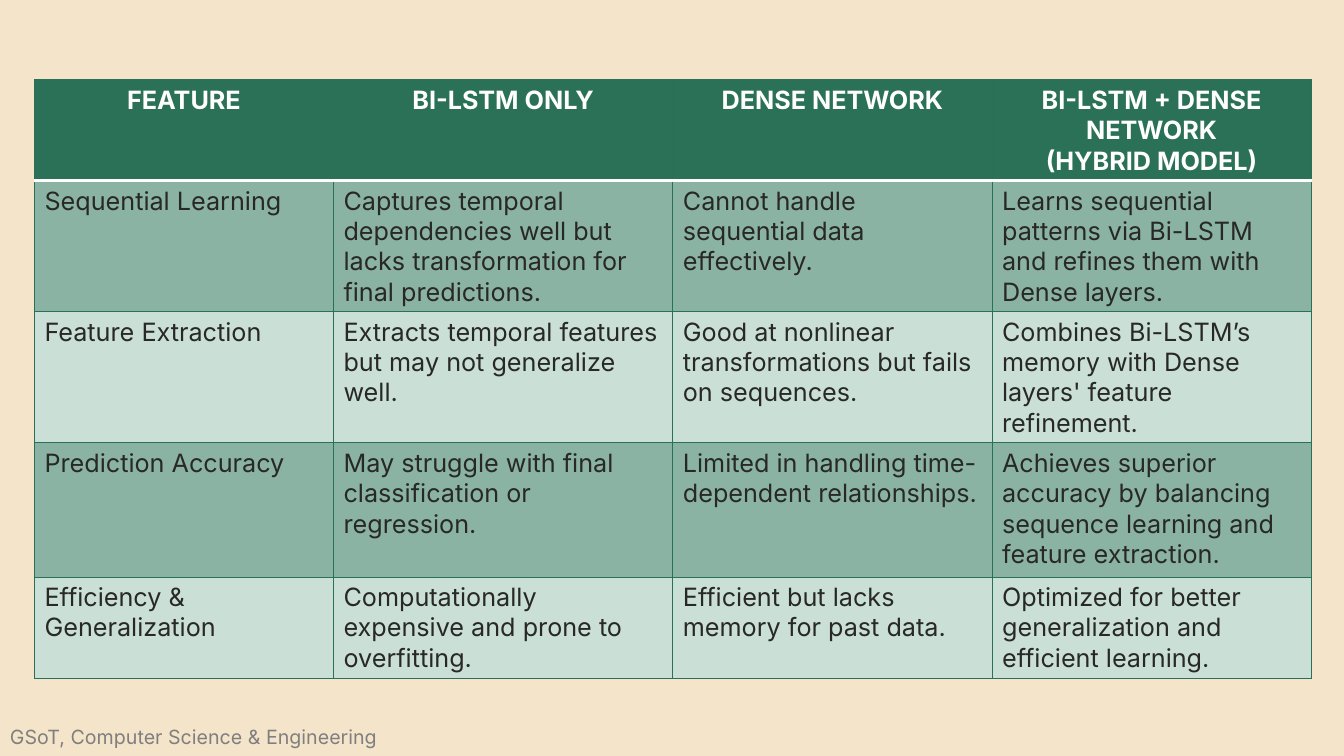
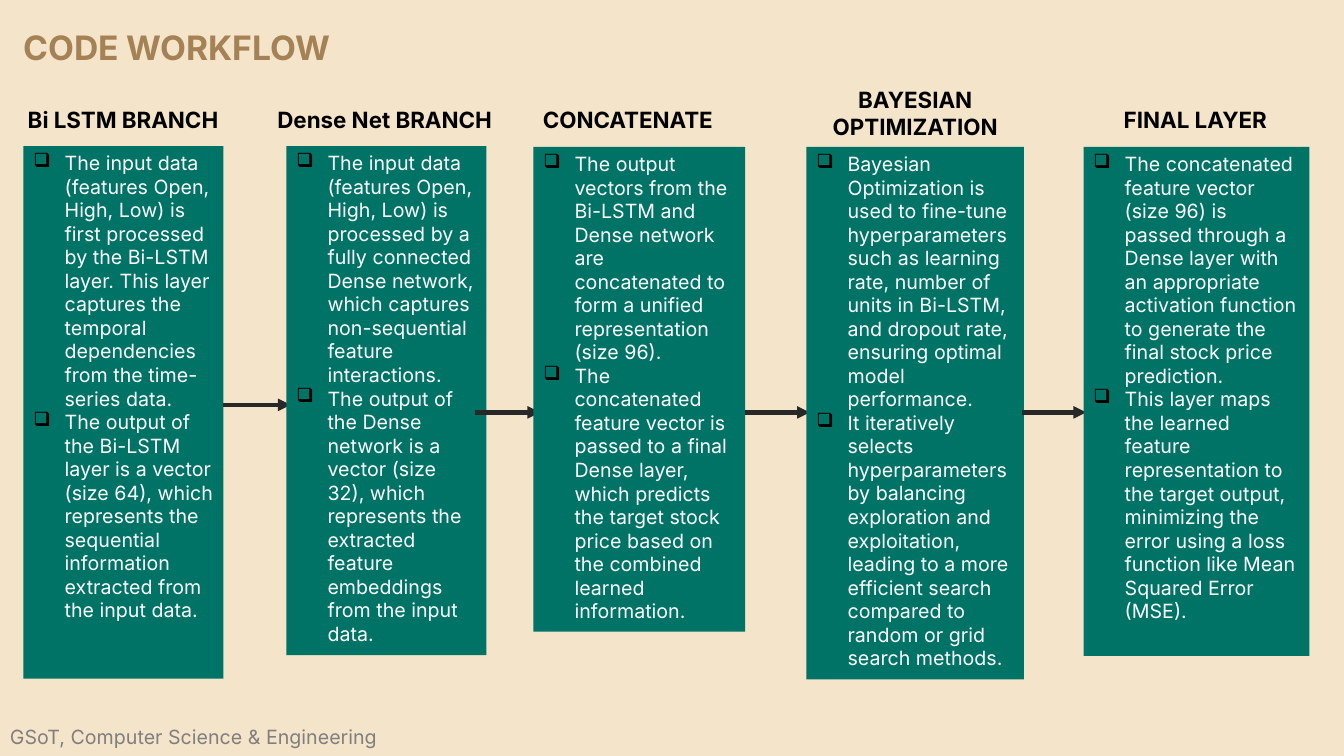
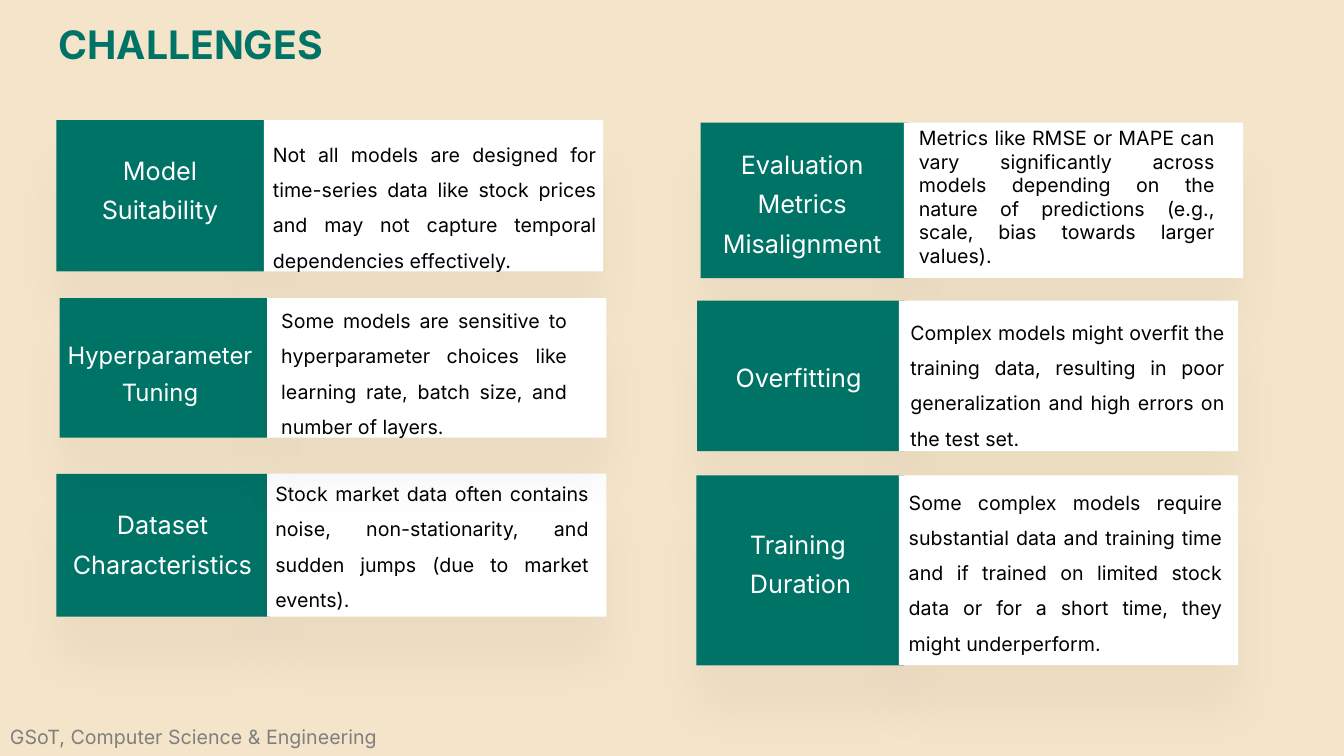
from dataclasses import dataclass
from typing import NamedTuple

from lxml import etree
from pptx import Presentation
from pptx import util as u
from pptx.dml import color
from pptx.enum import shapes, text
from pptx.oxml import ns

COLUMNS, ROWS = 160, 90
SLIDE_WIDTH, SLIDE_HEIGHT = u.Inches(13.33), u.Inches(7.5)
FONT = "Inter"
COLOURS = {
    "sand": "F4E4C9",
    "teal": "007367",
    "bronze": "A58255",
    "header": "2B7158",
    "band": "8AB3A3",
    "plain": "CADFD6",
    "border": "287057",
    "ink": "282828",
    "grey": "7F7F7F",
    "black": "000000",
    "white": "FFFFFF",
}
LEFT, CENTER, JUSTIFY = text.PP_ALIGN.LEFT, text.PP_ALIGN.CENTER, text.PP_ALIGN.JUSTIFY


class Box(NamedTuple):
    column: float
    row: float
    columns: float
    rows: float


@dataclass
class Stage:
    heading: str
    heading_box: Box
    box: Box
    points: list[str]
    arrow: Box | None = None


@dataclass
class Challenge:
    label: str
    label_box: Box
    label_text: Box
    body: str
    body_column: float
    body_text: Box
    label_size: float = 18
    label_align: text.PP_ALIGN = CENTER
    body_spacing: float = 1.5


FOOTER_BOX = Box(0, 85.7, 62.9, 4.1)
BODY_COLUMNS = 40.4

COMPARISON_BOX = Box(4.1, 9.5, 152, 68.3)
COMPARISON_COLUMNS = [35.6, 40.4, 38, 38]
COMPARISON_ROWS = [11.3, 14.8, 14.8, 16, 11.4]
COMPARISON = [
    ["FEATURE", "BI-LSTM ONLY", "DENSE NETWORK",
     "BI-LSTM + DENSE NETWORK\n(HYBRID MODEL)"],
    ["Sequential Learning",
     "Captures temporal dependencies well but lacks transformation for final predictions.",
     "Cannot handle sequential data effectively.",
     "Learns sequential patterns via Bi-LSTM and refines them with Dense layers."],
    ["Feature Extraction",
     "Extracts temporal features but may not generalize well.",
     "Good at nonlinear transformations but fails on sequences.",
     "Combines Bi-LSTM’s memory with Dense layers' feature refinement."],
    ["Prediction Accuracy",
     "May struggle with final classification or regression.",
     "Limited in handling time-dependent relationships.",
     "Achieves superior accuracy by balancing sequence learning and feature extraction."],
    ["Efficiency & Generalization",
     "Computationally expensive and prone to overfitting.",
     "Efficient but lacks memory for past data.",
     "Optimized for better generalization and efficient learning."],
]

STAGES = [
    Stage("Bi LSTM BRANCH", Box(-0.7, 12.1, 30.7, 4.4), Box(2.8, 17.4, 23.8, 63.4), [
        "The input data (features Open, High, Low) is first processed by the Bi-LSTM layer. "
        "This layer captures the temporal dependencies from the time-series data.",
        "The output of the Bi-LSTM layer is a vector (size 64), which represents the "
        "sequential information extracted from the input data.",
    ], Box(26.6, 48.2, 8, 0)),
    Stage("Dense Net BRANCH", Box(28.7, 12.1, 34.2, 4.4), Box(34.1, 17.4, 23.8, 60.6), [
        "The input data (features Open, High, Low) is processed by a fully connected Dense "
        "network, which captures non-sequential feature interactions.",
        "The output of the Dense network is a vector (size 32), which represents the "
        "extracted feature embeddings from the input data.",
    ], Box(56.6, 49.1, 7.7, 0)),
    Stage("CONCATENATE", Box(59.4, 12.1, 30.7, 4.4), Box(63.5, 17.5, 25.2, 57.7), [
        "The output vectors from the Bi-LSTM and Dense network are concatenated to form a "
        "unified representation (size 96).",
        "The concatenated feature vector is passed to a final Dense layer, which predicts "
        "the target stock price based on the combined learned information.",
    ], Box(88.7, 49.1, 7.7, 0)),
    Stage("BAYESIAN OPTIMIZATION", Box(93.6, 9.7, 30.7, 7.7), Box(96, 17.5, 25.9, 63.4), [
        "Bayesian Optimization is used to fine-tune hyperparameters such as learning rate, "
        "number of units in Bi-LSTM, and dropout rate, ensuring optimal model performance.",
        "It iteratively selects hyperparameters by balancing exploration and exploitation, "
        "leading to a more efficient search compared to random or grid search methods.",
    ], Box(121.7, 49.1, 7.6, 0)),
    Stage("FINAL LAYER", Box(125.2, 12.1, 34.2, 4.4), Box(129, 17.5, 26.9, 60.6), [
        "The concatenated feature vector (size 96) is passed through a Dense layer with an "
        "appropriate activation function to generate the final stock price prediction.",
        "This layer maps the learned feature representation to the target output, minimizing "
        "the error using a loss function like Mean Squared Error (MSE).",
    ]),
]

CHALLENGES = [
    Challenge(
        "Model Suitability", Box(6.7, 14.3, 24.7, 18), Box(10.6, 16.8, 16.9, 4.6),
        "Not all models are designed for time-series data like stock prices and may not "
        "capture temporal dependencies effectively.",
        31.4, Box(31.3, 15, 40.9, 8.2)),
    Challenge(
        "Evaluation Metrics Misalignment", Box(83.4, 14.6, 24.7, 18.5),
        Box(84.4, 16.1, 22.2, 5.6),
        "Metrics like RMSE or MAPE can vary significantly across models depending on the "
        "nature of predictions (e.g., scale, bias towards larger values).",
        107.6, Box(108.2, 14.4, 37.6, 8.2), body_spacing=1),
    Challenge(
        "Dataset Characteristics", Box(6.7, 56.4, 25.4, 17), Box(7, 59, 24.7, 5.3),
        "Stock market data often contains noise, non-stationarity, and sudden jumps "
        "(due to market events).",
        31.8, Box(31.6, 55.4, 39.7, 10.2)),
    Challenge(
        "Hyperparameter Tuning", Box(7.1, 35.5, 24.7, 16.6), Box(6.7, 38.9, 24.7, 4.6),
        "Some models are sensitive to hyperparameter choices like learning rate, batch size, "
        "and number of layers.",
        31.8, Box(32.3, 34.8, 36.4, 8.2), label_size=17),
    Challenge(
        "Overfitting", Box(83, 35.8, 24.7, 17.9), Box(86.4, 41.5, 18.5, 3.7),
        "Complex models might overfit the training data, resulting in poor generalization "
        "and high errors on the test set.",
        107, Box(107.2, 36.2, 39.8, 10.1), label_align=LEFT),
    Challenge(
        "Training Duration", Box(82.9, 56.6, 24.7, 22.6), Box(88.1, 61.3, 18.2, 5.2),
        "Some complex models require substantial data and training time and if trained on "
        "limited stock data or for a short time, they might underperform.",
        107, Box(107, 56.4, 39.7, 8.2), label_align=LEFT),
]


def across(columns: float) -> int:
    return round(SLIDE_WIDTH * columns / COLUMNS)


def down(rows: float) -> int:
    return round(SLIDE_HEIGHT * rows / ROWS)


def place(box: Box) -> tuple[int, int, int, int]:
    return across(box.column), down(box.row), across(box.columns), down(box.rows)


def rgb(name: str) -> color.RGBColor:
    return color.RGBColor.from_string(COLOURS[name])


def add_xml(parent, tag: str, **attributes):
    return etree.SubElement(parent, ns.qn(tag), attributes)


def add_bullet(paragraph) -> None:
    properties = paragraph._p.get_or_add_pPr()
    indent = u.Inches(0.31)
    properties.set("marL", str(indent))
    properties.set("indent", str(-indent))
    add_xml(add_xml(properties, "a:buClr"), "a:srgbClr", val=COLOURS["black"])
    add_xml(properties, "a:buChar", char="❑")


def write(frame, content: str, *, size: float, colour: str, bold: bool = False,
          align: text.PP_ALIGN = LEFT, spacing: float = 1, bullets: bool = False) -> None:
    frame.word_wrap = True
    frame.vertical_anchor = text.MSO_ANCHOR.TOP
    for index, line in enumerate(content.split("\n")):
        paragraph = frame.add_paragraph() if index else frame.paragraphs[0]
        paragraph.alignment = align
        paragraph.line_spacing = spacing
        if bullets:
            add_bullet(paragraph)
        run = paragraph.add_run()
        run.text = line
        run.font.name = FONT
        run.font.size = u.Pt(size)
        run.font.bold = bold
        run.font.color.rgb = rgb(colour)


def add_text(slide, box: Box, content: str, **style) -> None:
    write(slide.shapes.add_textbox(*place(box)).text_frame, content, **style)


def add_block(slide, preset, position: tuple[int, int, int, int], fill: str):
    block = slide.shapes.add_shape(preset, *position)
    block.fill.solid()
    block.fill.fore_color.rgb = rgb(fill)
    block.line.fill.background()
    block.shadow.inherit = False
    return block


def add_soft_shadow(block) -> None:
    for index in range(len(block.adjustments)):
        block.adjustments[index] = 0
    effects = block._element.spPr.find(ns.qn("a:effectLst"))
    reach = str(u.Pt(33))
    shadow = add_xml(effects, "a:outerShdw", blurRad=reach, dist=reach,
                     dir="5400000", algn="t", rotWithShape="0")
    tone = add_xml(shadow, "a:srgbClr", val=COLOURS["black"])
    add_xml(tone, "a:alpha", val="4000")


def add_arrow(slide, box: Box) -> None:
    left, top, width, height = place(box)
    arrow = slide.shapes.add_connector(
        shapes.MSO_CONNECTOR.STRAIGHT, left, top, left + width, top + height)
    arrow.line.color.rgb = rgb("ink")
    arrow.line.width = u.Pt(3)
    add_xml(arrow.line._get_or_add_ln(), "a:tailEnd", type="triangle")
    add_xml(arrow._element.spPr, "a:effectLst")


def add_border(cell, side: str, colour: str, width: float) -> None:
    line = add_xml(cell._tc.get_or_add_tcPr(), f"a:ln{side}", w=str(u.Pt(width)))
    add_xml(add_xml(line, "a:solidFill"), "a:srgbClr", val=COLOURS[colour])


def new_slide(deck):
    slide = deck.slides.add_slide(deck.slide_layouts[6])
    slide.background.fill.solid()
    slide.background.fill.fore_color.rgb = rgb("sand")
    add_text(slide, FOOTER_BOX, "GSoT, Computer Science & Engineering",
             size=14, colour="grey")
    return slide


def add_title(slide, box: Box, title: str, *, size: float, colour: str) -> None:
    add_text(slide, box, title, size=size, colour=colour, bold=True)


def fill_cell(cell, content: str, row: int) -> None:
    is_header = row == 0
    under_header = {"T": row == 1, "B": is_header}
    for side in "LRTB":
        divider = under_header.get(side, False)
        add_border(cell, side, "white" if divider else "border", 2 if divider else 0.75)
    cell.fill.solid()
    cell.fill.fore_color.rgb = rgb("header" if is_header else "band" if row % 2 else "plain")
    write(cell.text_frame, content, size=18, bold=is_header,
          colour="white" if is_header else "ink", align=CENTER if is_header else LEFT)


def build_comparison(deck) -> None:
    slide = new_slide(deck)
    table = slide.shapes.add_table(
        len(COMPARISON_ROWS), len(COMPARISON_COLUMNS), *place(COMPARISON_BOX)).table
    for column, width in zip(table.columns, COMPARISON_COLUMNS):
        column.width = across(width)
    for row, height in zip(table.rows, COMPARISON_ROWS):
        row.height = down(height)
    for row, entries in enumerate(COMPARISON):
        for column, entry in enumerate(entries):
            fill_cell(table.cell(row, column), entry, row)


def add_stage(slide, stage: Stage) -> None:
    panel = add_block(slide, shapes.MSO_SHAPE.RECTANGLE, place(stage.box), "teal")
    write(panel.text_frame, "\n".join(stage.points), size=14, colour="white", bullets=True)
    add_text(slide, stage.heading_box, stage.heading,
             size=16, colour="black", bold=True, align=CENTER)
    if stage.arrow:
        add_arrow(slide, stage.arrow)


def build_workflow(deck) -> None:
    slide = new_slide(deck)
    add_title(slide, Box(1.6, 2.6, 130.4, 6), "CODE WORKFLOW", size=24, colour="bronze")
    for stage in STAGES:
        add_stage(slide, stage)


def add_challenge(slide, challenge: Challenge) -> None:
    left, top, width, height = place(challenge.label_box)
    turn = (width - height) // 2
    label = add_block(slide, shapes.MSO_SHAPE.ROUND_2_SAME_RECTANGLE,
                      (left + turn, top - turn, height, width), "teal")
    label.rotation = 270
    body_box = challenge.label_box._replace(
        column=challenge.body_column, columns=BODY_COLUMNS)
    body = add_block(slide, shapes.MSO_SHAPE.ROUNDED_RECTANGLE, place(body_box), "white")
    for block in (label, body):
        add_soft_shadow(block)
    add_text(slide, challenge.label_text, challenge.label, size=challenge.label_size,
             colour="white", align=challenge.label_align, spacing=1.3)
    add_text(slide, challenge.body_text, challenge.body, size=14, colour="black",
             align=JUSTIFY, spacing=challenge.body_spacing)


def build_challenges(deck) -> None:
    slide = new_slide(deck)
    add_title(slide, Box(5.8, 1.8, 109.3, 8.5), "CHALLENGES", size=28, colour="teal")
    for challenge in CHALLENGES:
        add_challenge(slide, challenge)


def main() -> None:
    deck = Presentation()
    deck.slide_width, deck.slide_height = SLIDE_WIDTH, SLIDE_HEIGHT
    build_comparison(deck)
    build_workflow(deck)
    build_challenges(deck)
    deck.save("out.pptx")


if __name__ == "__main__":
    main()
